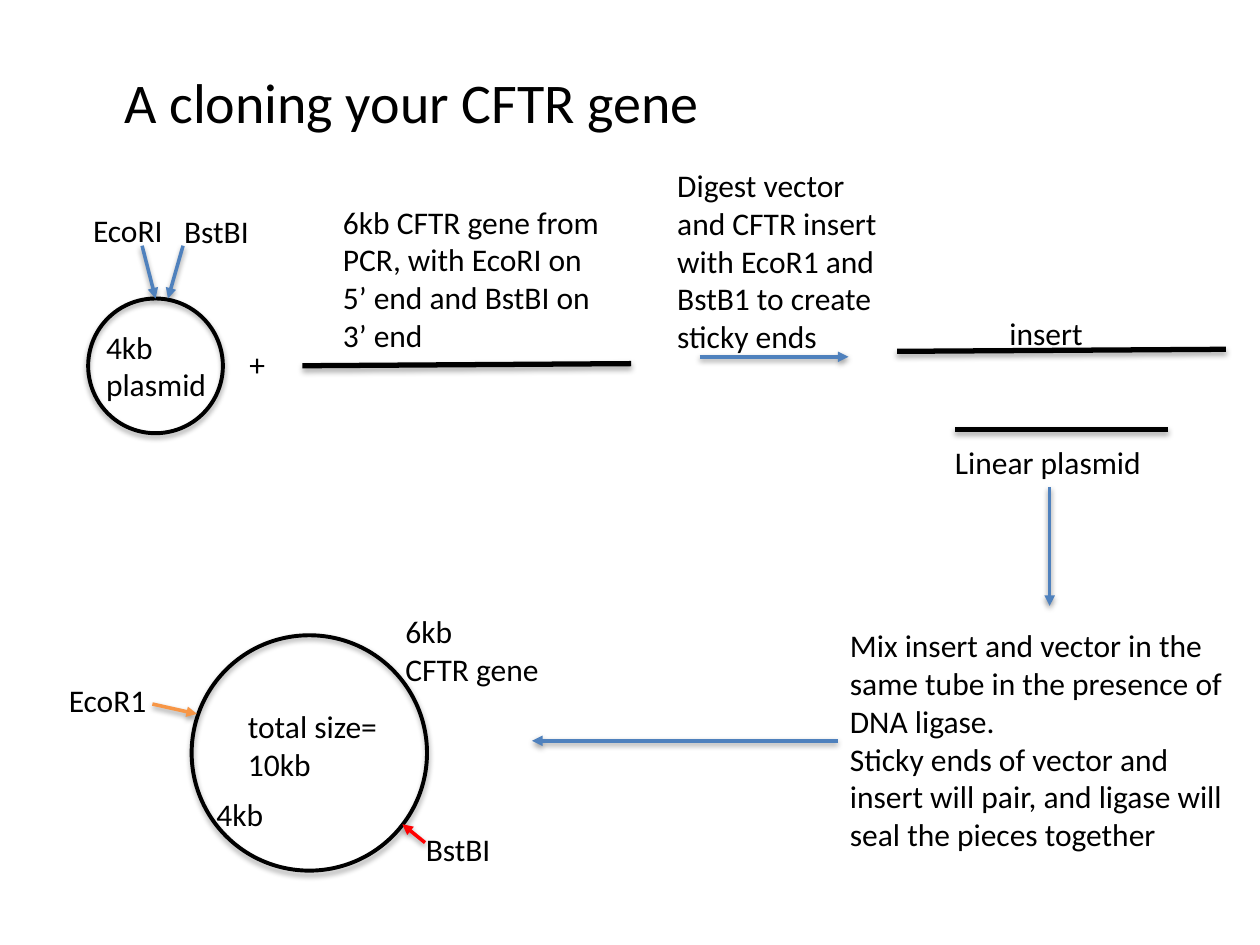
"""Build a slide on cloning the CFTR gene into a plasmid."""
from lxml import etree
from pptx import Presentation
from pptx import util as u
from pptx.dml.color import RGBColor
from pptx.enum import shapes, text
from pptx.oxml.ns import qn

Pt = u.Pt
BLACK, BLUE, ORANGE, RED = "000000", "4F81BD", "F79646", "FF0000"

deck = Presentation()
deck.slide_width, deck.slide_height = Pt(720), Pt(540)
page = deck.slides.add_slide(deck.slide_layouts[6])


def add_text(words, left, top, width, height, size=18, wrap=True):
    box = page.shapes.add_textbox(Pt(left), Pt(top), Pt(width), Pt(height))
    frame = box.text_frame
    frame.word_wrap = wrap
    frame.auto_size = text.MSO_AUTO_SIZE.SHAPE_TO_FIT_TEXT
    for index, line in enumerate(words.split("\n")):
        para = frame.add_paragraph() if index else frame.paragraphs[0]
        span = para.add_run()
        span.text = line
        span.font.name = "Calibri"
        span.font.size = Pt(size)
        span.font.color.rgb = RGBColor.from_string(BLACK)
    return box


def draw_outline(item, color, width, opacity=35, distance=1.8):
    item.line.color.rgb = RGBColor.from_string(color)
    item.line.width = Pt(width)
    properties = item._element.spPr
    for old in properties.findall(qn("a:effectLst")):
        properties.remove(old)
    effects = etree.SubElement(properties, qn("a:effectLst"))
    shadow = etree.SubElement(
        effects, qn("a:outerShdw"), blurRad=str(Pt(3.15)), dist=str(Pt(distance)),
        dir="5400000", rotWithShape="0")
    tint = etree.SubElement(shadow, qn("a:srgbClr"), val=BLACK)
    etree.SubElement(tint, qn("a:alpha"), val=str(opacity * 1000))


circles = []
for left, top, width, height in [(109.5, 363, 134.5, 134.5), (50.4, 170.6, 77, 77)]:
    circle = page.shapes.add_shape(
        shapes.MSO_SHAPE.OVAL, Pt(left), Pt(top), Pt(width), Pt(height))
    circle.fill.background()
    draw_outline(circle, BLACK, 2.25)
    circles.append(circle)
recombinant, plasmid = circles

add_text("A cloning your CFTR gene", 64, 35.3, 421, 46, size=32)
add_text("4kb plasmid", 53.5, 183.6, 75.6, 51)
add_text("6kb CFTR gene from PCR, with EcoRI on 5’ end and BstBI on 3’ end",
         188.9, 112.3, 161.3, 94.5)
add_text("Digest vector and CFTR insert with EcoR1 and BstB1 to create sticky ends",
         379.9, 91.4, 134, 116.5)
mix = add_text("Mix insert and vector in the same tube in the presence of DNA ligase.\n"
               "Sticky ends of vector and insert will pair, and ligase will "
               "seal the pieces together", 478.6, 354.3, 241.4, 138)

labels = {}
for words, left, top, width, height in [
    ("EcoRI", 46.1, 116.8, 54.7, 29),
    ("BstBI", 98.1, 117.7, 51.8, 29),
    ("+", 135.5, 193.8, 23.8, 29),
    ("insert", 569.7, 175.9, 56.9, 29),
    ("Linear plasmid", 538.6, 249.5, 122.4, 29),
    ("6kb\nCFTR gene", 224.6, 346.3, 91.4, 51),
    ("total size=\n10kb", 134.6, 400.6, 90, 51),
    ("4kb", 116.6, 450.8, 41.8, 29),
    ("EcoR1", 32.2, 385.8, 59, 29),
    ("BstBI", 236.2, 471, 51.8, 29),
]:
    labels[words] = add_text(words, left, top, width, height, wrap=False)

for x1, y1, x2, y2 in [
    (172.8, 209, 360.7, 207.8),
    (512.6, 200.8, 700.5, 199.6),
    (545.8, 245.3, 667.4, 245.3),
]:
    strand = page.shapes.add_connector(
        shapes.MSO_CONNECTOR.STRAIGHT, Pt(x1), Pt(y1), Pt(x2), Pt(y2))
    draw_outline(strand, BLACK, 3)

for color, x1, y1, x2, y2, start, end in [
    (BLUE, 81.2, 140.4, 88.9, 170.6, None, (plasmid, 0)),
    (BLUE, 104.6, 140.4, 96, 170.6, None, None),
    (BLUE, 399.8, 203.9, 484.9, 203.9, None, None),
    (BLUE, 599.8, 278.5, 599.8, 346.3, (labels["Linear plasmid"], 2), None),
    (BLUE, 478.6, 423.3, 304, 423.3, (mix, 1), None),
    (ORANGE, 87.1, 402.3, 112.6, 408, None, None),
    (RED, 242.9, 481.5, 229.9, 471, None, None),
]:
    arrow = page.shapes.add_connector(
        shapes.MSO_CONNECTOR.STRAIGHT, Pt(x1), Pt(y1), Pt(x2), Pt(y2))
    if start:
        arrow.begin_connect(*start)
    if end:
        arrow.end_connect(*end)
    draw_outline(arrow, color, 2, opacity=38, distance=1.6)
    etree.SubElement(arrow.line._get_or_add_ln(), qn("a:tailEnd"), type="triangle")

deck.save("out.pptx")
